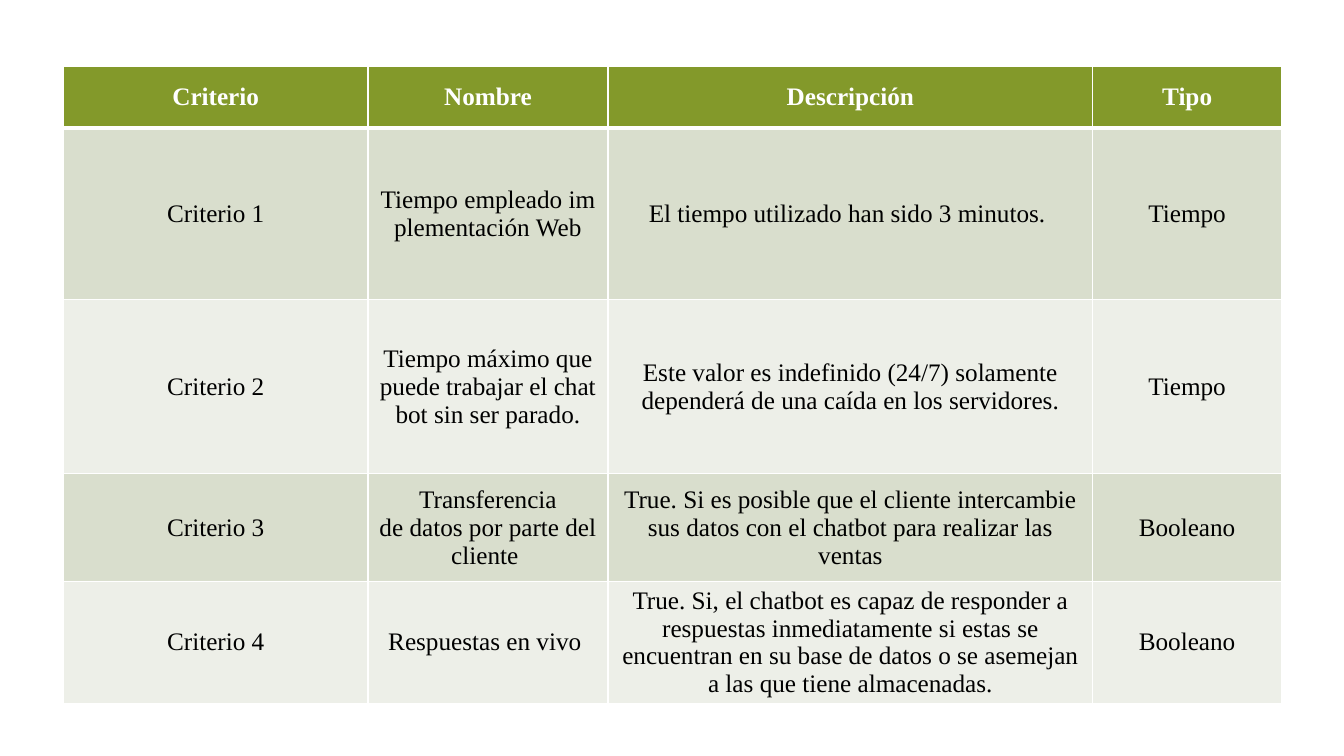
"""Build a slide with the table of chatbot evaluation criteria."""
from lxml.etree import SubElement
from pptx import Presentation
from pptx.dml.color import RGBColor
from pptx.enum.text import MSO_ANCHOR, PP_ALIGN
from pptx.oxml.ns import qn
from pptx.util import Inches, Pt

HARD_SPACE = chr(160)
HEADINGS = ("Criterio", "Nombre", "Descripción", "Tipo")
CRITERIA = [
    ("Criterio 1", "Tiempo~empleado~implementación~Web",
     "El tiempo utilizado han sido 3 minutos.~", "Tiempo"),
    ("Criterio 2", "Tiempo máximo~que puede~trabajar~el~chatbot~sin ser~parado.",
     "Este valor es indefinido (24/7) solamente dependerá de una caída en los servidores.",
     "Tiempo"),
    ("Criterio 3", "Transferencia de~datos por parte~del cliente~",
     "True. Si es posible que el cliente intercambie sus datos con el~chatbot~para "
     "realizar las ventas", "Booleano"),
    ("Criterio 4", "Respuestas en~vivo~",
     "True. Si, el~chatbot~es capaz de responder a respuestas inmediatamente si estas "
     "se encuentran en su base de datos o se asemejan a las que tiene almacenadas.",
     "Booleano"),
]
COLORS = {"heading": "83992A", "odd": "D9DECD", "even": "EDEFE8",
          "rule": "FFFFFF", "heading_text": "FFFFFF", "text": "000000"}
COLUMN_WIDTHS = (3.02, 2.38, 4.81, 1.87)
ROW_HEIGHTS = (0.61, 1.7, 1.73, 1.07, 1.07)
LEFT, TOP = 0.63, 0.66
THIN, THICK = 1, 3


def add_rules(cell, widths):
    """Draw the four cell borders ahead of the cell fill."""
    properties = cell._tc.get_or_add_tcPr()
    for position, (side, width) in enumerate(widths.items()):
        rule = SubElement(properties, qn(f"a:ln{side}"), w=str(Pt(width)))
        fill = SubElement(rule, qn("a:solidFill"))
        SubElement(fill, qn("a:srgbClr"), val=COLORS["rule"])
        properties.insert(position, rule)


def fill_cell(cell, wording, row):
    """Write and format one table cell."""
    is_heading = row == 0
    band = "heading" if is_heading else "odd" if row % 2 else "even"
    cell.fill.solid()
    cell.fill.fore_color.rgb = RGBColor.from_string(COLORS[band])
    add_rules(cell, {"L": THIN, "R": THIN,
                     "T": THICK if row == 1 else THIN,
                     "B": THICK if is_heading else THIN})
    cell.vertical_anchor = MSO_ANCHOR.MIDDLE
    cell.text = wording.replace("~", HARD_SPACE)
    paragraph = cell.text_frame.paragraphs[0]
    paragraph.alignment = PP_ALIGN.CENTER
    font = paragraph.runs[0].font
    text_format = {"name": "Times New Roman", "size": Pt(18), "bold": is_heading}
    for attribute, value in text_format.items():
        setattr(font, attribute, value)
    font.color.rgb = RGBColor.from_string(
        COLORS["heading_text" if is_heading else "text"])


def main():
    """Create the presentation and save it."""
    deck = Presentation()
    deck.slide_width, deck.slide_height = Inches(13.33), Inches(7.5)
    slide = deck.slides.add_slide(deck.slide_layouts[6])
    criteria_table = slide.shapes.add_table(
        len(ROW_HEIGHTS), len(COLUMN_WIDTHS), Inches(LEFT), Inches(TOP),
        Inches(sum(COLUMN_WIDTHS)), Inches(sum(ROW_HEIGHTS))).table
    for column, width in zip(criteria_table.columns, COLUMN_WIDTHS):
        column.width = Inches(width)
    for row, height in zip(criteria_table.rows, ROW_HEIGHTS):
        row.height = Inches(height)
    for row, entries in enumerate([HEADINGS, *CRITERIA]):
        for column, wording in enumerate(entries):
            fill_cell(criteria_table.cell(row, column), wording, row)
    deck.save("out.pptx")


if __name__ == "__main__":
    main()
